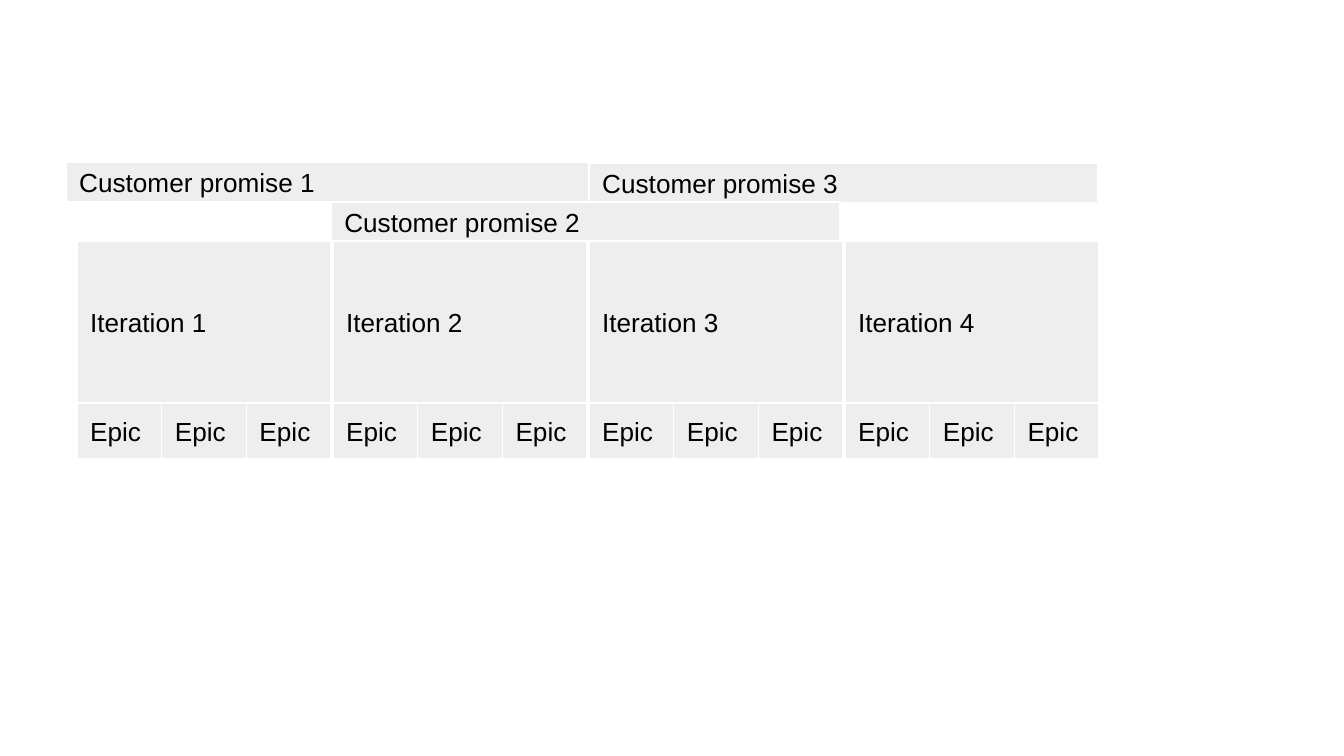
from pptx import Presentation
from pptx.dml.color import RGBColor
from pptx.enum.shapes import MSO_SHAPE
from pptx.enum.text import MSO_ANCHOR, PP_ALIGN
from pptx.util import Emu, Inches, Pt

PX_PER_INCH = 134.4
COLORS = {"box": "EEEEEE", "border": "FFFFFF", "text": "000000"}
FRAME_FORMAT = {
    "word_wrap": True,
    "vertical_anchor": MSO_ANCHOR.MIDDLE,
    "margin_left": Inches(0.1),
    "margin_top": Inches(0.1),
    "margin_right": Inches(0.1),
    "margin_bottom": Inches(0.1),
}
FONT_FORMAT = {"name": "Arial", "size": Pt(14)}

PROMISES = [
    ("Customer promise 1", 66, 162, 523),
    ("Customer promise 3", 589, 163, 509),
    ("Customer promise 2", 331, 202, 509),
]
PROMISE_HEIGHT = 40
ITERATIONS = 4
ITERATION_LEFT, ITERATION_TOP = 77, 241
ITERATION_WIDTH, ITERATION_HEIGHT = 254, 162
ITERATION_PITCH = 256
EPICS = 3
EPIC_TOP = ITERATION_TOP + ITERATION_HEIGHT
EPIC_HEIGHT = 56


def px(length):
    return Emu(round(length * Inches(1) / PX_PER_INCH))


def color(name):
    return RGBColor.from_string(COLORS[name])


def apply_format(target, values):
    for attribute, value in values.items():
        setattr(target, attribute, value)


class Roadmap:
    def __init__(self, slide):
        self.slide = slide

    def box(self, label, left, top, width, height):
        box = self.slide.shapes.add_shape(
            MSO_SHAPE.RECTANGLE, px(left), px(top), px(width), px(height)
        )
        box.shadow.inherit = False
        box.fill.solid()
        box.fill.fore_color.rgb = color("box")
        box.line.color.rgb = color("border")
        box.line.width = Pt(0.75)

        apply_format(box.text_frame, FRAME_FORMAT)
        paragraph = box.text_frame.paragraphs[0]
        paragraph.alignment = PP_ALIGN.LEFT
        run = paragraph.add_run()
        run.text = label
        apply_format(run.font, FONT_FORMAT)
        run.font.color.rgb = color("text")


def main():
    deck = Presentation()
    deck.slide_width, deck.slide_height = px(1344), px(756)
    roadmap = Roadmap(deck.slides.add_slide(deck.slide_layouts[6]))

    for promise, left, top, width in PROMISES:
        roadmap.box(promise, left, top, width, PROMISE_HEIGHT)

    iteration_lefts = [
        ITERATION_LEFT + index * ITERATION_PITCH for index in range(ITERATIONS)
    ]
    for number, left in enumerate(iteration_lefts, start=1):
        roadmap.box(f"Iteration {number}", left, ITERATION_TOP,
                    ITERATION_WIDTH, ITERATION_HEIGHT)

    epic_width = ITERATION_WIDTH / EPICS
    for left in iteration_lefts:
        for index in range(EPICS):
            roadmap.box("Epic", left + index * epic_width, EPIC_TOP,
                        epic_width, EPIC_HEIGHT)

    deck.save("out.pptx")


if __name__ == "__main__":
    main()
